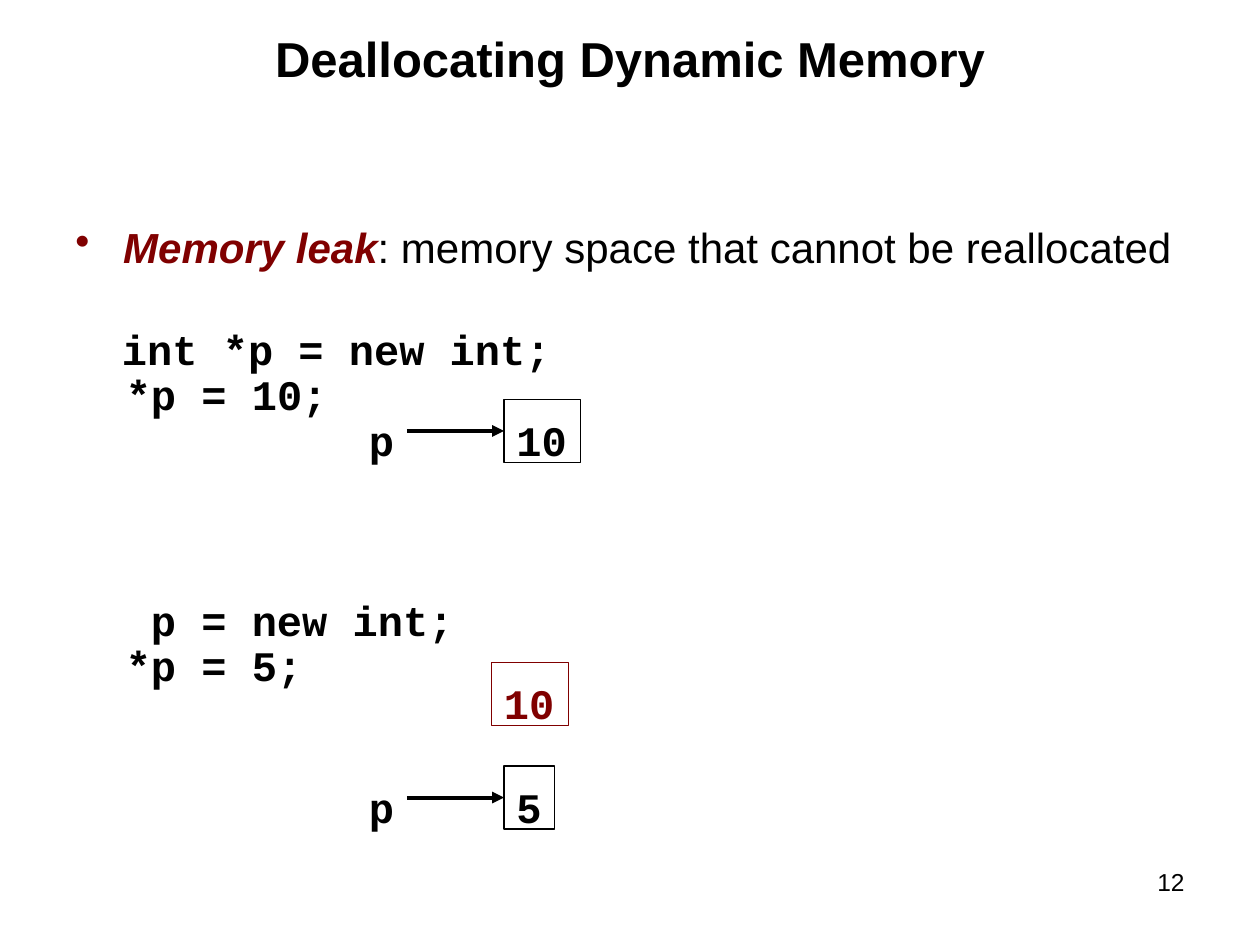
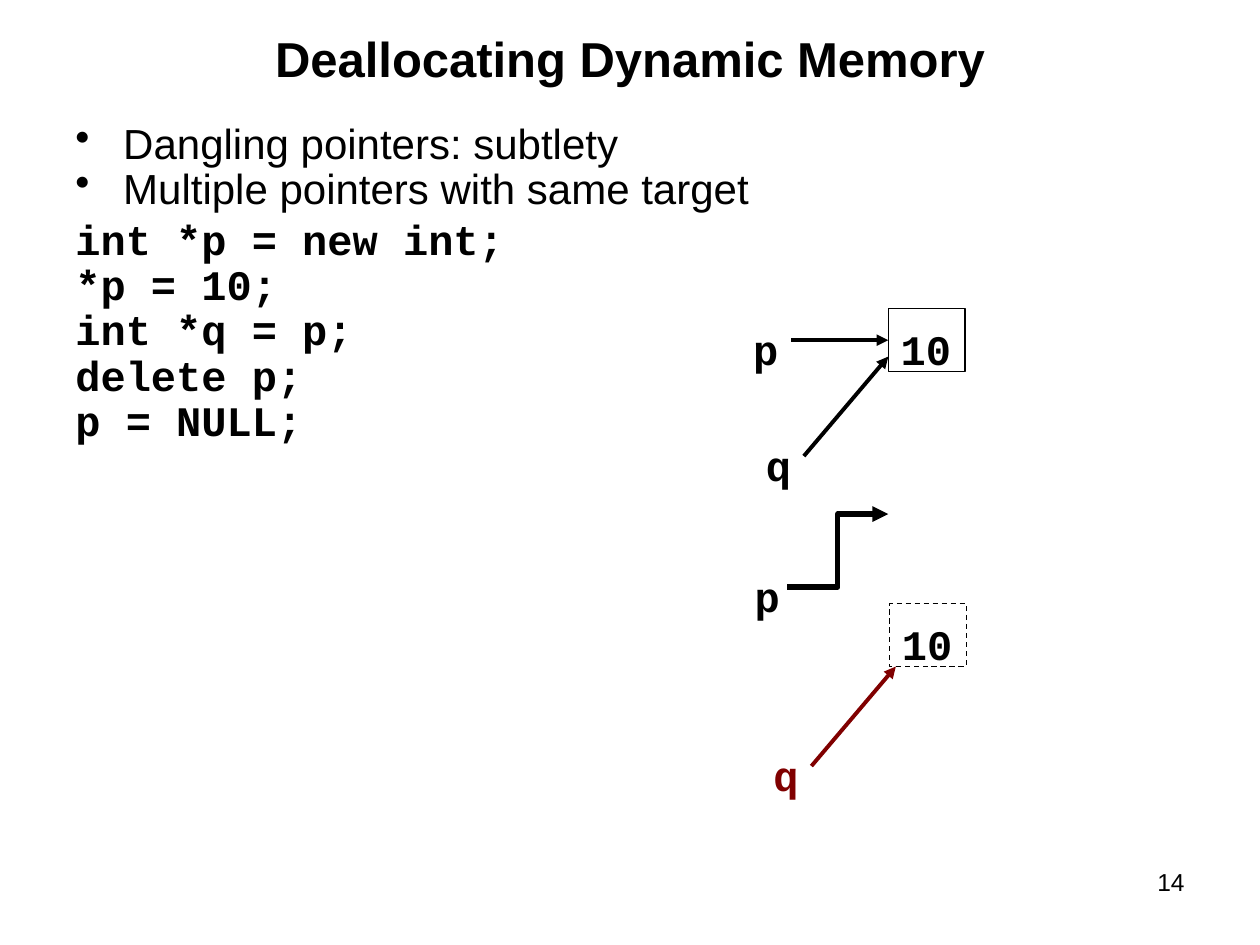
from dataclasses import dataclass

from pptx import Presentation
from pptx.dml.color import RGBColor
from pptx.enum.dml import MSO_LINE
from pptx.enum.shapes import MSO_CONNECTOR, MSO_SHAPE
from pptx.enum.text import MSO_ANCHOR, PP_ALIGN
from pptx.oxml.ns import qn
from pptx.util import Inches, Pt

# Grid: 100 columns by 75 rows, each cell a tenth of an inch
COLUMNS, ROWS, CELL = 100, 75, 0.1


@dataclass(frozen=True)
class Theme:
    ink: RGBColor = RGBColor(0, 0, 0)
    accent: RGBColor = RGBColor(0x80, 0, 0)
    sans: str = "Arial"
    mono: str = "Courier New"
    title_size: float = 28
    body_size: float = 24
    number_size: float = 14
    line_pitch: float = 25.9
    box_line: float = 0.75
    arrow_line: float = 2.25


THEME = Theme()
TITLE = "Deallocating Dynamic Memory"
CELL_HEIGHT = 5
LABEL_WIDTH, TEN_WIDTH = 4, 6.1
RIGHT_SIDE, LEFT_SIDE = 3, 1


def grid(*cells):
    """Turn grid cells into lengths."""
    return [Inches(round(cell * CELL, 3)) for cell in cells]


# Text
def write(para, text, size=THEME.body_size, font=THEME.sans, color=THEME.ink,
          bold=False, italic=False):
    span = para.add_run()
    span.text = text
    span.font.size = Pt(size)
    span.font.name = font
    span.font.color.rgb = color
    span.font.bold = bold
    span.font.italic = italic


def add_text_box(page, area, anchor=MSO_ANCHOR.TOP, align=PP_ALIGN.LEFT):
    box = page.shapes.add_textbox(*grid(*area))
    box.text_frame.word_wrap = True
    box.text_frame.vertical_anchor = anchor
    box.text_frame.paragraphs[0].alignment = align
    return box


def add_line(frame, before=0, indent=0, bullet=False):
    """Start a body paragraph; the first call takes the empty one."""
    first = frame.paragraphs[0]
    para = frame.add_paragraph() if first.runs else first
    para.line_spacing = Pt(THEME.line_pitch)
    para.space_before = Pt(before)
    properties = para._p.get_or_add_pPr()
    margin = 0.38 if bullet else indent
    properties.set("marL", str(Inches(margin)))
    properties.set("indent", str(Inches(-margin if bullet else 0)))
    if bullet:
        mark = properties.makeelement(qn("a:buChar"), {"char": "•"})
        properties.append(mark)
    return para


def add_code(frame, text, **layout):
    write(add_line(frame, **layout), text, font=THEME.mono, bold=True)


# Memory diagram
def fill_cell(box, text, color):
    frame = box.text_frame
    frame.word_wrap = False
    frame.vertical_anchor = MSO_ANCHOR.TOP
    frame.margin_top = Inches(0.12)
    frame.margin_bottom = 0
    frame.paragraphs[0].alignment = PP_ALIGN.LEFT
    write(frame.paragraphs[0], text, font=THEME.mono, color=color, bold=True)
    return box


def add_pointer(page, name, left, top, color=THEME.ink):
    box = add_text_box(page, (left, top, LABEL_WIDTH, CELL_HEIGHT))
    return fill_cell(box, name, color)


def add_memory(page, value, left, top, width=TEN_WIDTH, color=THEME.ink, dash=None):
    box = page.shapes.add_shape(MSO_SHAPE.RECTANGLE,
                                *grid(left, top, width, CELL_HEIGHT))
    box.shadow.inherit = False
    box.fill.background()
    box.line.color.rgb = color
    box.line.width = Pt(THEME.box_line)
    if dash:
        box.line.dash_style = dash
    return fill_cell(box, value, color)


def add_arrow(page, start, end, kind=MSO_CONNECTOR.STRAIGHT,
              color=THEME.ink, width=THEME.arrow_line):
    arrow = page.shapes.add_connector(kind, *grid(*start, *end))
    arrow.line.color.rgb = color
    arrow.line.width = Pt(width)
    outline = arrow.line._get_or_add_ln()
    outline.append(outline.makeelement(qn("a:tailEnd"), {"type": "triangle"}))
    properties = arrow._element.spPr
    properties.append(properties.makeelement(qn("a:effectLst"), {}))
    return arrow


def point_at(page, label, memory):
    """Join the label's right side to the memory cell's left side."""
    arrow = add_arrow(page, (0, 0), (1, 1))
    arrow.begin_connect(label, RIGHT_SIDE)
    arrow.end_connect(memory, LEFT_SIDE)


def point_toward(page, label, end, color=THEME.ink):
    """Join the label's right side to a free end."""
    arrow = add_arrow(page, (0, 0), end, color=color)
    arrow.begin_connect(label, RIGHT_SIDE)


# Pages
def add_page(deck, number, body_top):
    """Add a titled, numbered page and return it with its body frame."""
    page = deck.slides.add_slide(deck.slide_layouts[6])
    corner = add_text_box(page, (85.8, 68.3, 9.2, 5.2), align=PP_ALIGN.RIGHT)
    write(corner.text_frame.paragraphs[0], number, size=THEME.number_size)
    heading = add_text_box(page, (5, 0, 90, 9.2), MSO_ANCHOR.MIDDLE, PP_ALIGN.CENTER)
    write(heading.text_frame.paragraphs[0], TITLE, size=THEME.title_size, bold=True)
    body = add_text_box(page, (5, body_top, 90, 67 - body_top))
    return page, body.text_frame


def build_memory_leak(deck):
    page, frame = add_page(deck, "12", 11.7)
    frame.margin_top = Inches(0.63)
    para = add_line(frame, bullet=True)
    write(para, "Memory leak", color=THEME.accent, bold=True, italic=True)
    write(para, ": memory space that cannot be reallocated")
    add_code(frame, "int *p = new int;", before=32, indent=0.37)
    add_code(frame, "*p = 10;", indent=0.4)
    add_code(frame, "p = new int;", before=103, indent=0.6)
    add_code(frame, "*p = 5;", indent=0.4)

    # The pointer before and after it is reassigned
    add_memory(page, "10", 39, 52.6, color=THEME.accent)
    for value, top, width in (("10", 31.7, TEN_WIDTH), ("5", 60.8, LABEL_WIDTH)):
        label = add_pointer(page, "p", 28.3, top)
        point_at(page, label, add_memory(page, value, 40, top, width))


def build_dangling_pointers(deck):
    page, frame = add_page(deck, "14", 9.2)
    for text in ("Dangling pointers: subtlety", "Multiple pointers with same target"):
        write(add_line(frame, bullet=True), text)
    code = ("int *p = new int;", "*p = 10;", "int *q = p;", "delete p;", "p = NULL;")
    for row, text in enumerate(code):
        add_code(frame, text, before=0 if row else 3)

    # Two pointers share one target
    label = add_pointer(page, "p", 58.8, 24.5)
    point_at(page, label, add_memory(page, "10", 70.5, 24.5))
    point_toward(page, add_pointer(page, "q", 59.8, 33.7), (70.5, 28.3))

    # The target is freed, and q is left dangling
    add_pointer(page, "p", 58.9, 44.1)
    add_memory(page, "10", 70.6, 47.9, dash=MSO_LINE.DASH)
    add_arrow(page, (62.5, 46.6), (70.5, 40.8), MSO_CONNECTOR.ELBOW, width=3)
    dangling = add_pointer(page, "q", 60.4, 58.3, THEME.accent)
    point_toward(page, dangling, (71.1, 52.9), THEME.accent)


def main():
    deck = Presentation()
    deck.slide_width, deck.slide_height = grid(COLUMNS, ROWS)
    build_memory_leak(deck)
    build_dangling_pointers(deck)
    deck.save("out.pptx")


if __name__ == "__main__":
    main()
